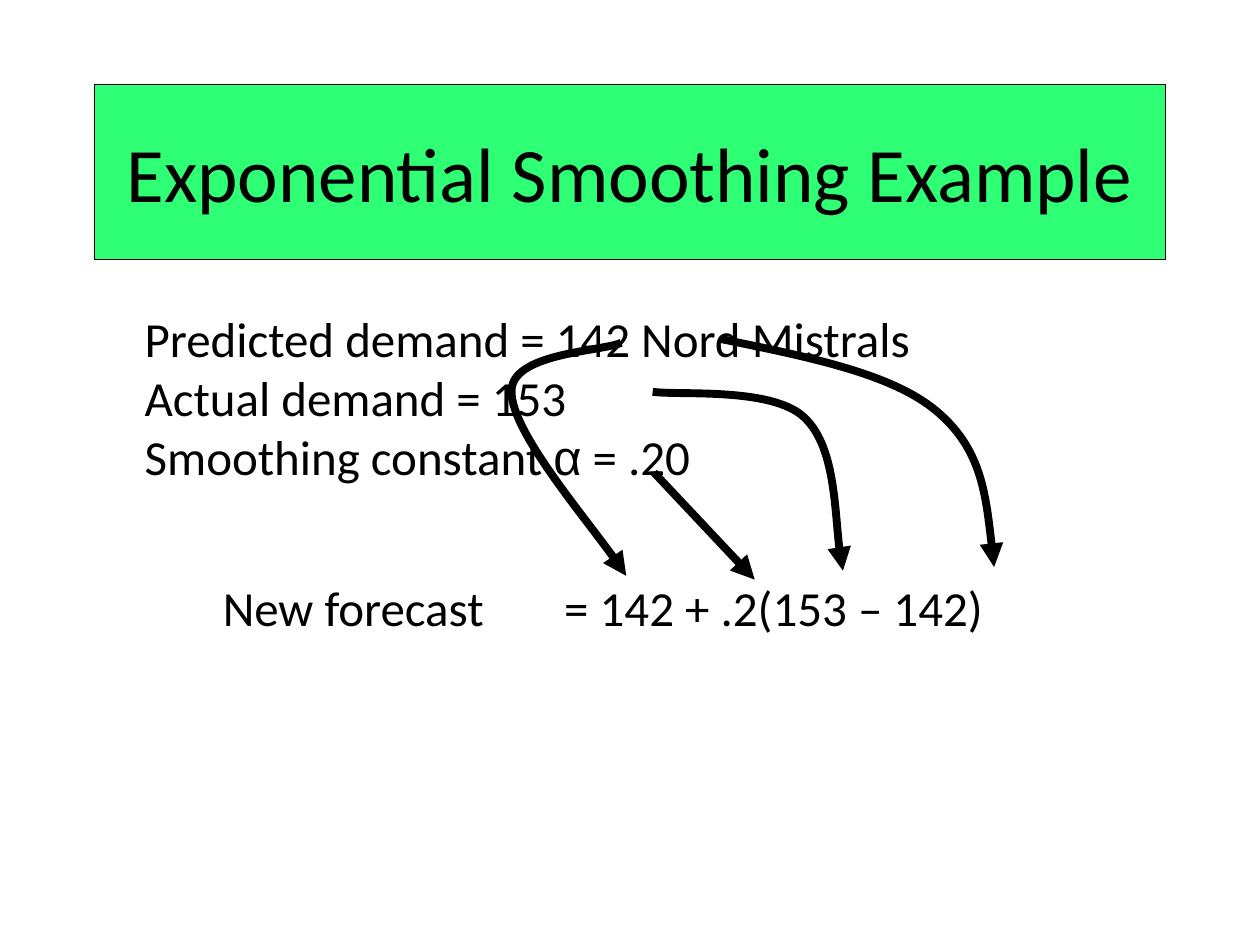
from dataclasses import dataclass

from lxml.etree import SubElement
from pptx import Presentation
from pptx.dml.color import RGBColor
from pptx.enum.text import MSO_ANCHOR, MSO_AUTO_SIZE, PP_ALIGN
from pptx.oxml.ns import qn
from pptx.util import Inches, Pt


@dataclass(frozen=True)
class Theme:
    ink: RGBColor = RGBColor(0x00, 0x00, 0x00)
    banner: RGBColor = RGBColor(0x2F, 0xFF, 0x74)
    font: str = "Calibri"
    symbol_font: str = "Arial"
    title_size: Pt = Pt(44)
    body_size: Pt = Pt(28)
    outline: Pt = Pt(0.75)
    arrow: Pt = Pt(4.5)


THEME = Theme()

# Boxes: left, top, width, height in inches
TITLE_BOX = (0.75, 0.67, 8.5, 1.39)
GIVENS_BOX = (1.05, 2.4, 7.57, 1.5)
FORECAST_BOX = (1.67, 4.42, 6.66, 1.27)
ARROWS_BOX = (4.05, 2.69, 3.84, 1.91)

GIVENS = [
    ["Predicted demand = 142 Nord Mistrals"],
    ["Actual demand = 153"],
    ["Smoothing constant ", "α", " = .20"],
]
FORECAST = "New forecast\t= 142 + .2(153 – 142)"
FORECAST_TAB = 2.71

# Start point, then two control points and an end point per curve segment
PREDICTED_TO_DIFFERENCE = [(1.67, 0), (2.35, 0.14), (3.02, 0.27), (3.38, 0.57),
                           (3.74, 0.87), (3.79, 1.34), (3.84, 1.81)]
ACTUAL_TO_DIFFERENCE = [(1.13, 0.42), (1.33, 0.45), (2.07, 0.38), (2.33, 0.62),
                        (2.58, 0.85), (2.58, 1.58), (2.64, 1.84)]
PREDICTED_TO_BASE = [(0.88, 0.03), (0.73, 0.1), (0, 0.11), (0.01, 0.42),
                     (0.01, 0.73), (0.73, 1.58), (0.92, 1.88)]
CONSTANT_TO_FACTOR = [(1.14, 1.06), (1.94, 1.91)]


def apply(target, values):
    for name, value in values.items():
        setattr(target, name, value)


def add_run(paragraph, text, size, font=THEME.font):
    run = paragraph.add_run()
    run.text = text
    apply(run.font, {"size": size, "name": font})
    run.font.color.rgb = THEME.ink


def add_title(slide, box, text):
    title = slide.shapes.title
    apply(title, dict(zip(("left", "top", "width", "height"), map(Inches, box))))
    title.fill.solid()
    title.fill.fore_color.rgb = THEME.banner
    title.line.color.rgb = THEME.ink
    title.line.width = THEME.outline
    apply(title.text_frame, {"vertical_anchor": MSO_ANCHOR.MIDDLE,
                             "auto_size": MSO_AUTO_SIZE.NONE, "word_wrap": True})
    heading = title.text_frame.paragraphs[0]
    heading.alignment = PP_ALIGN.CENTER
    add_run(heading, text, THEME.title_size)


def add_text_frame(slide, box):
    frame = slide.shapes.add_textbox(*map(Inches, box)).text_frame
    frame.word_wrap = True
    return frame


def add_givens(slide, box, lines):
    frame = add_text_frame(slide, box)
    for index, parts in enumerate(lines):
        line = frame.add_paragraph() if index else frame.paragraphs[0]
        for part in parts:
            font = THEME.symbol_font if part == "α" else THEME.font
            add_run(line, part, THEME.body_size, font)


def add_forecast(slide, box, text):
    formula = add_text_frame(slide, box).paragraphs[0]
    formula.line_spacing = 1.25
    tabs = SubElement(formula._p.get_or_add_pPr(), qn("a:tabLst"))
    SubElement(tabs, qn("a:tab"), pos=str(Inches(FORECAST_TAB)), algn="l")
    add_run(formula, text, THEME.body_size)


def style_arrow(line):
    line.color.rgb = THEME.ink
    line.width = THEME.arrow
    SubElement(line._get_or_add_ln(), qn("a:tailEnd"), type="triangle")


def add_curved_arrow(slide, points):
    builder = slide.shapes.build_freeform(*points[0], scale=1.0)
    builder.add_line_segments(points[1:], close=False)
    arrow = builder.convert_to_shape()
    # Turn each three straight segments into one Bezier segment
    outline = arrow._element.find(".//" + qn("a:path"))
    segments = outline.findall(qn("a:lnTo"))
    for start in range(0, len(segments), 3):
        curve = SubElement(outline, qn("a:cubicBezTo"))
        for segment in segments[start:start + 3]:
            curve.append(segment[0])
            outline.remove(segment)
    arrow.fill.background()
    style_arrow(arrow.line)
    arrow.shadow.inherit = False


def add_straight_arrow(slide, start, end):
    arrow = slide.shapes.add_connector(1, *start, *end)
    style_arrow(arrow.line)
    SubElement(arrow._element.spPr, qn("a:effectLst"))


def add_arrows(slide, box):
    left, top = box[:2]

    def placed(points):
        return [(Inches(left + x), Inches(top + y)) for x, y in points]

    add_curved_arrow(slide, placed(PREDICTED_TO_DIFFERENCE))
    add_curved_arrow(slide, placed(ACTUAL_TO_DIFFERENCE))
    add_straight_arrow(slide, *placed(CONSTANT_TO_FACTOR))
    add_curved_arrow(slide, placed(PREDICTED_TO_BASE))


def main():
    deck = Presentation()
    apply(deck, {"slide_width": Inches(10), "slide_height": Inches(7.5)})
    slide = deck.slides.add_slide(deck.slide_layouts.get_by_name("Title Only"))
    add_title(slide, TITLE_BOX, "Exponential Smoothing Example")
    add_givens(slide, GIVENS_BOX, GIVENS)
    add_forecast(slide, FORECAST_BOX, FORECAST)
    add_arrows(slide, ARROWS_BOX)
    deck.save("out.pptx")


if __name__ == "__main__":
    main()
